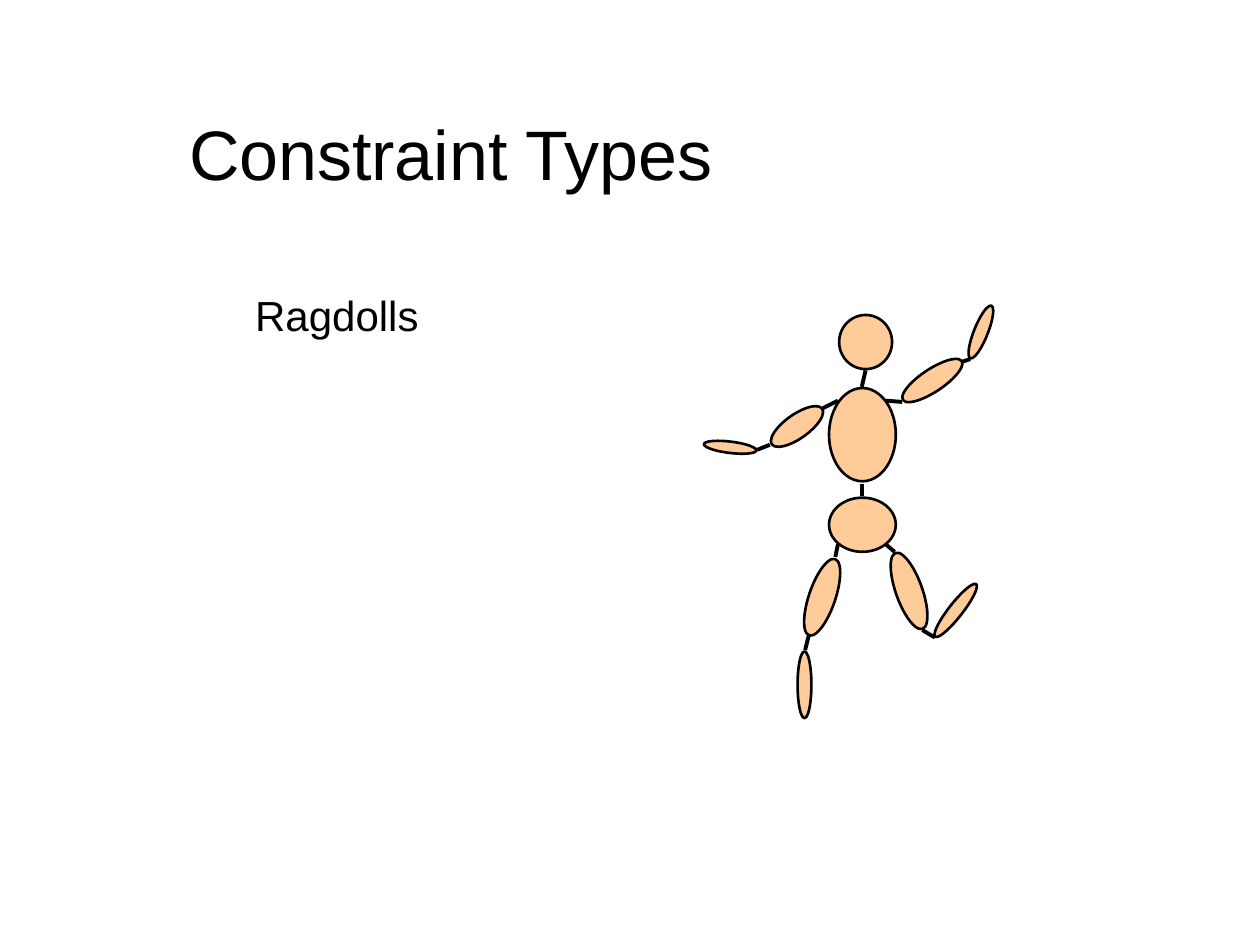
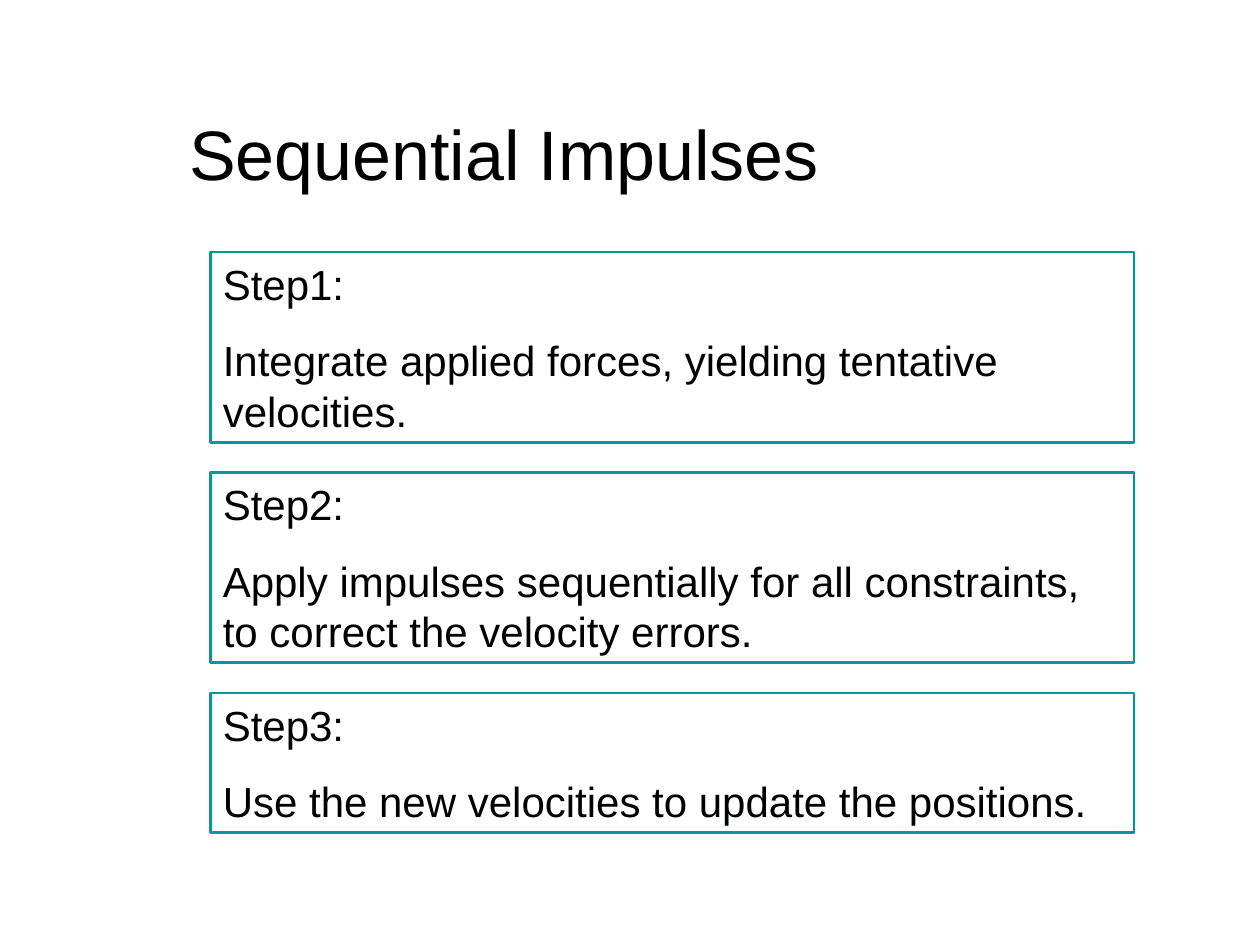
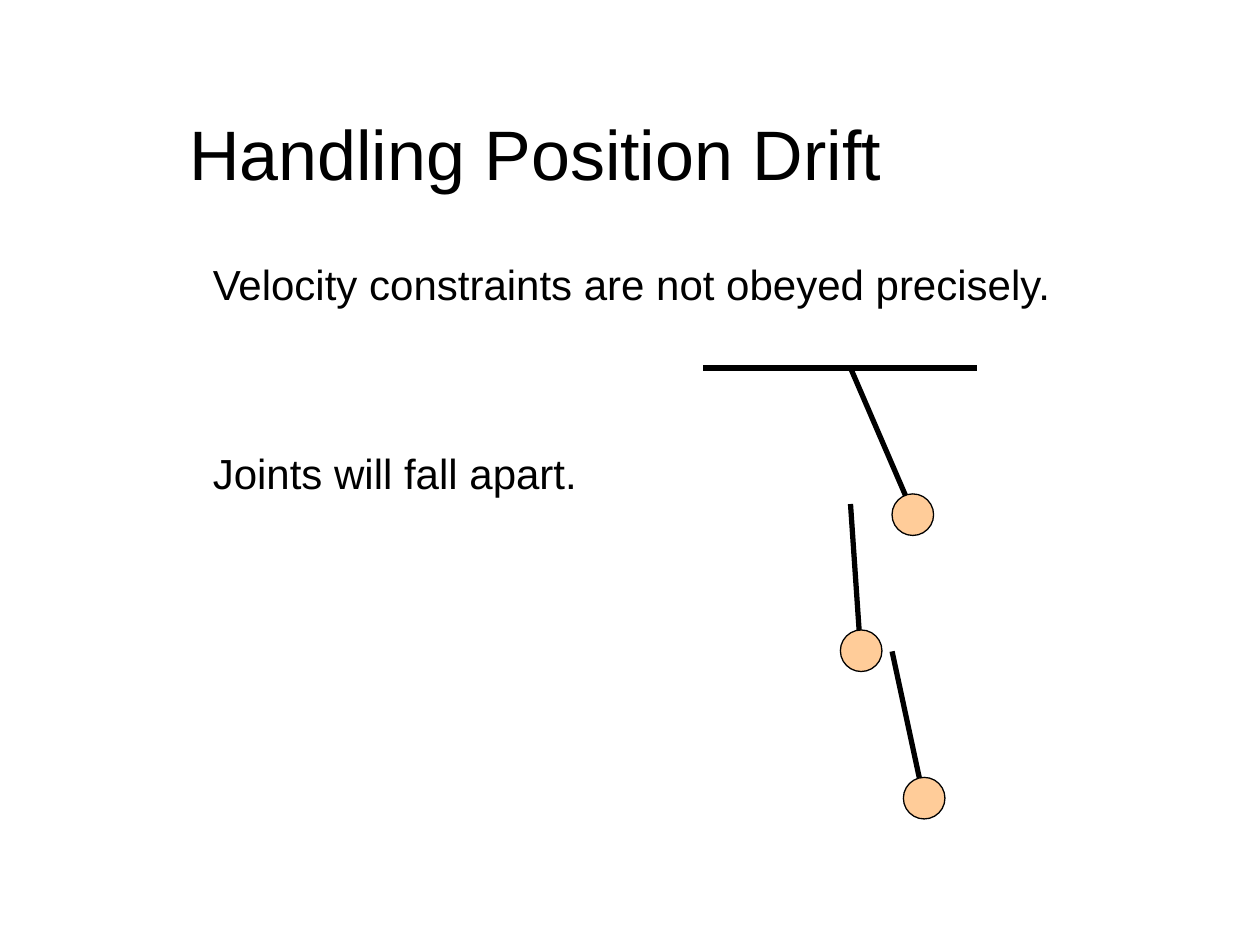
import pptx
import pptx.util
from lxml import etree
from pptx.dml.color import RGBColor
from pptx.enum.shapes import MSO_CONNECTOR, MSO_SHAPE
from pptx.enum.text import MSO_ANCHOR, MSO_AUTO_SIZE, PP_ALIGN
from pptx.oxml.ns import qn
from pptx.util import Inches

BLACK = RGBColor(0x00, 0x00, 0x00)
PEACH = RGBColor(0xFF, 0xCC, 0x99)
TEAL = RGBColor(0x00, 0x99, 0x99)
FONT = "Arial"


def write(shape, text, size=24, align=PP_ALIGN.LEFT, anchor=MSO_ANCHOR.TOP,
          wrap=True, fit=MSO_AUTO_SIZE.SHAPE_TO_FIT_TEXT, gap=0):
    """Fill a shape with text, one paragraph a line, with gap points between them."""
    frame = shape.text_frame
    frame.text = text
    frame.word_wrap = wrap
    frame.auto_size = fit
    frame.vertical_anchor = anchor
    for number, para in enumerate(frame.paragraphs):
        para.alignment = align
        para.space_before = pptx.util.Pt(gap if number else 0)
        for span in para.runs:
            span.font.name = FONT
            span.font.size = pptx.util.Pt(size)
            span.font.color.rgb = BLACK


def outline(shape, width, colour=BLACK):
    """Give a shape or connector a plain line and no shadow."""
    shape.line.color.rgb = colour
    shape.line.width = pptx.util.Pt(width)
    etree.SubElement(shape._element.spPr, qn("a:effectLst"))


deck = pptx.Presentation()
deck.slide_width = Inches(10)
deck.slide_height = Inches(7.5)

# Titles shared by all pages
pages = []
for heading in ["Constraint Types", "Sequential Impulses", "Handling Position Drift"]:
    page = deck.slides.add_slide(deck.slide_layouts[5])
    title = page.shapes.title
    title.left, title.top = Inches(1.4), Inches(0.42)
    title.width, title.height = Inches(7.75), Inches(1.58)
    write(title, heading, size=40, anchor=MSO_ANCHOR.MIDDLE, fit=MSO_AUTO_SIZE.NONE)
    pages.append(page)
ragdoll_page, steps_page, drift_page = pages

# Free-standing labels
labels = [
    (ragdoll_page, "Ragdolls", 1.9, 2.25, 1.52, PP_ALIGN.RIGHT),
    (drift_page, "Velocity constraints are not obeyed precisely.", 1.59, 2, 6.89, PP_ALIGN.LEFT),
    (drift_page, "Joints will fall apart.", 1.59, 3.5, 3.09, PP_ALIGN.LEFT),
]
for page, text, left, top, width, align in labels:
    box = page.shapes.add_textbox(Inches(left), Inches(top), Inches(width), Inches(0.5))
    write(box, text, align=align, wrap=False)

# Ragdoll limbs: left, top, width, height, rotation
limbs = [
    (6.66, 2.5, 0.42, 0.43, 0),      # head
    (6.58, 3.08, 0.53, 0.74, 0),     # chest
    (6.58, 3.95, 0.53, 0.43, 0),     # hips
    (6.23, 3.14, 0.19, 0.49, 54.7),  # arms
    (7.73, 2.41, 0.11, 0.45, 21.8),
    (7.31, 2.74, 0.18, 0.56, 236.5),
    (5.75, 3.34, 0.09, 0.42, 276.9),
    (7.11, 4.37, 0.21, 0.64, 340.4),  # legs
    (7.53, 4.58, 0.11, 0.53, 38),
    (6.42, 4.42, 0.21, 0.64, 18.8),
    (6.33, 5.17, 0.11, 0.53, 0),
]
# Joints and rods: start x, start y, end x, end y
joints = [
    (6.39, 5.16, 6.42, 5.04),
    (6.65, 3.18, 6.53, 3.24),
    (6.11, 3.53, 6.01, 3.57),
    (6.84, 3.84, 6.84, 3.94),
    (6.65, 4.32, 6.63, 4.42),
    (7.03, 4.32, 7.1, 4.38),
    (7.32, 5, 7.42, 5.06),
    (7.03, 3.18, 7.16, 3.19),
    (6.84, 3.07, 6.87, 2.94),
    (7.7, 2.85, 7.64, 2.87),
]
rods = [
    (5.58, 2.92, 7.75, 2.92),  # ceiling
    (6.75, 2.92, 7.25, 4.08),
    (6.75, 4, 6.83, 5.17),
    (7.08, 5.17, 7.33, 6.33),
]
weights = [(left, top, 0.33, 0.33, 0) for left, top in [(7.17, 6.17), (6.67, 5), (7.08, 3.92)]]

# Back to front: limbs lie under their joints, weights lie over their rods
for page, ovals, oval_width, lines, line_width in [
    (ragdoll_page, limbs, 1.5, joints, 2.25),
    (drift_page, [], 0, rods, 3),
    (drift_page, weights, 0.75, [], 0),
]:
    for *place, rotation in ovals:
        oval = page.shapes.add_shape(MSO_SHAPE.OVAL, *map(Inches, place))
        oval.rotation = rotation
        oval.fill.solid()
        oval.fill.fore_color.rgb = PEACH
        outline(oval, oval_width)
    for ends in lines:
        connector = page.shapes.add_connector(MSO_CONNECTOR.STRAIGHT, *map(Inches, ends))
        outline(connector, line_width)

# Step boxes
steps = [
    ("Integrate applied forces, yielding tentative velocities.", 1.51),
    ("Apply impulses sequentially for all constraints, to correct the velocity errors.", 1.51),
    ("Use the new velocities to update the positions.", 1.11),
]
for index, (text, height) in enumerate(steps):
    box = steps_page.shapes.add_shape(
        MSO_SHAPE.RECTANGLE, Inches(1.67), Inches(2 + 1.75 * index), Inches(7.33), Inches(height))
    box.fill.background()
    outline(box, 1.5, TEAL)
    write(box, f"Step{index + 1}:\n{text}", gap=15)

deck.save("out.pptx")
